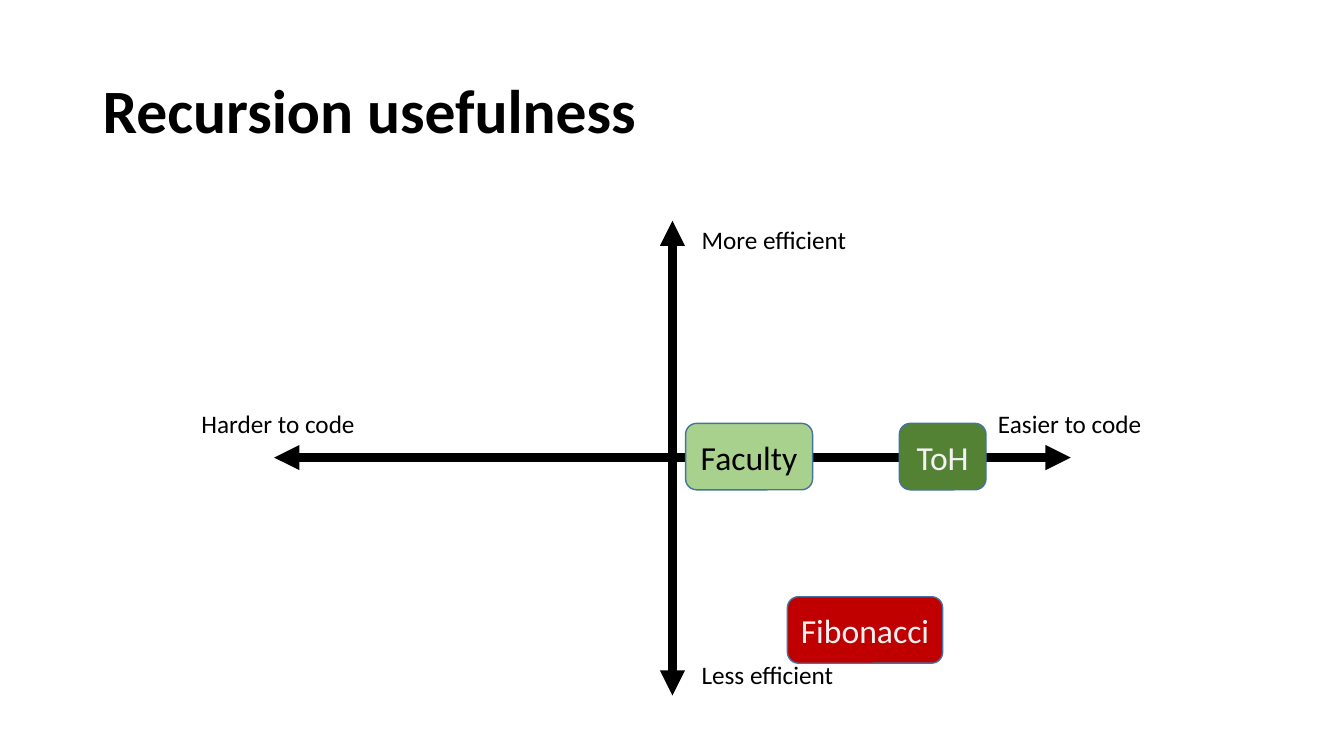
import pptx
import pptx.util
import pptx.dml.color
import pptx.enum.shapes
import pptx.enum.text
import pptx.oxml
import pptx.oxml.ns
from dataclasses import dataclass

PX = 9144
TEXT = pptx.enum.text


@dataclass(frozen=True)
class Theme:
    """Hold the colours, font and sizes."""
    font: str = "Calibri"
    ink: str = "000000"
    pale: str = "F2F2F2"
    edge: str = "43739E"
    light: str = "A9D18E"
    green: str = "548235"
    red: str = "C00000"
    title: int = 44
    label: int = 18
    card: int = 24
    axis: int = 6


THEME = Theme()


def emu(*vals):
    """Turn px lengths into EMU."""
    return [pptx.util.Emu(v * PX) for v in vals]


def rgb(hue):
    """Turn a hex text into a colour."""
    return pptx.dml.color.RGBColor.from_string(hue)


def style(item, form):
    """Set each attribute named in the dict."""
    for name, val in form.items():
        setattr(item, name, val)


def write(shape, text, size, hue, frame, para, bold=False):
    """Put one styled paragraph in a shape."""
    body = shape.text_frame
    style(body, frame)
    line = body.paragraphs[0]
    line.text = text
    style(line, para)
    style(line.font, {"name": THEME.font, "size": pptx.util.Pt(size), "bold": bold})
    line.font.color.rgb = rgb(hue)


def title(slide, box, text):
    """Draw the slide title in its box."""
    shape = slide.shapes.add_textbox(*emu(*box))
    frame = {"word_wrap": True, "vertical_anchor": TEXT.MSO_ANCHOR.MIDDLE}
    write(shape, text, THEME.title, THEME.ink, frame, {"line_spacing": 0.9}, True)


def axis(slide, start, end):
    """Draw an axis with an arrow at both ends."""
    line = slide.shapes.add_connector(
        pptx.enum.shapes.MSO_CONNECTOR.STRAIGHT, *emu(*start, *end))
    line.line.color.rgb = rgb(THEME.ink)
    line.line.width = pptx.util.Pt(THEME.axis)
    pen = line.line._get_or_add_ln()
    for tag in ("a:headEnd", "a:tailEnd"):
        pptx.oxml.ns.qn(tag)
        tip = pptx.oxml.xmlchemy.OxmlElement(tag)
        tip.set("type", "triangle")
        pen.append(tip)
    line._element.spPr.append(pptx.oxml.xmlchemy.OxmlElement("a:effectLst"))


def label(slide, box, text):
    """Draw the name of one end of an axis."""
    shape = slide.shapes.add_textbox(*emu(*box))
    frame = {"word_wrap": False, "auto_size": TEXT.MSO_AUTO_SIZE.SHAPE_TO_FIT_TEXT}
    write(shape, text, THEME.label, THEME.ink, frame, {})


def card(slide, box, text, fill, hue):
    """Draw a rounded card with centred text."""
    shape = slide.shapes.add_shape(
        pptx.enum.shapes.MSO_SHAPE.ROUNDED_RECTANGLE, *emu(*box))
    shape.shadow.inherit = False
    shape.fill.solid()
    shape.fill.fore_color.rgb = rgb(fill)
    shape.line.color.rgb = rgb(THEME.edge)
    shape.line.width = pptx.util.Pt(1)
    frame = {"word_wrap": False, "vertical_anchor": TEXT.MSO_ANCHOR.MIDDLE}
    write(shape, text, THEME.card, hue, frame, {"alignment": TEXT.PP_ALIGN.CENTER})


def chart(slide, box):
    """Draw the axes, their labels and the cards in a box."""
    left, top, wide, high = box
    midx, midy = left + wide // 2, top + high // 2
    axis(slide, (midx, top), (midx, top + high))
    axis(slide, (left, midy), (left + wide, midy))
    for x, y, w, text in (
        (midx + 19, top - 1, 166, "More efficient"),
        (midx + 19, top + high - 41, 153, "Less efficient"),
        (left + wide - 82, midy - 54, 164, "Easier to code"),
        (left - 82, midy - 54, 174, "Harder to code"),
    ):
        label(slide, (x, y, w, 40), text)
    for x, y, w, text, fill, hue in (
        (13, -34, 126, "Faculty", THEME.light, THEME.ink),
        (225, -34, 86, "ToH", THEME.green, THEME.pale),
        (114, 138, 154, "Fibonacci", THEME.red, THEME.pale),
    ):
        card(slide, (midx + x, midy + y, w, 66), text, fill, hue)


def main():
    """Build and save the slide."""
    deck = pptx.Presentation()
    wide, high = emu(1333, 750)
    style(deck, {"slide_width": wide, "slide_height": high})
    slide = deck.slides.add_slide(deck.slide_layouts[6])
    title(slide, (92, 40, 1150, 145), "Recursion usefulness")
    chart(slide, (272, 219, 790, 471))
    deck.save("out.pptx")


if __name__ == "__main__":
    main()
